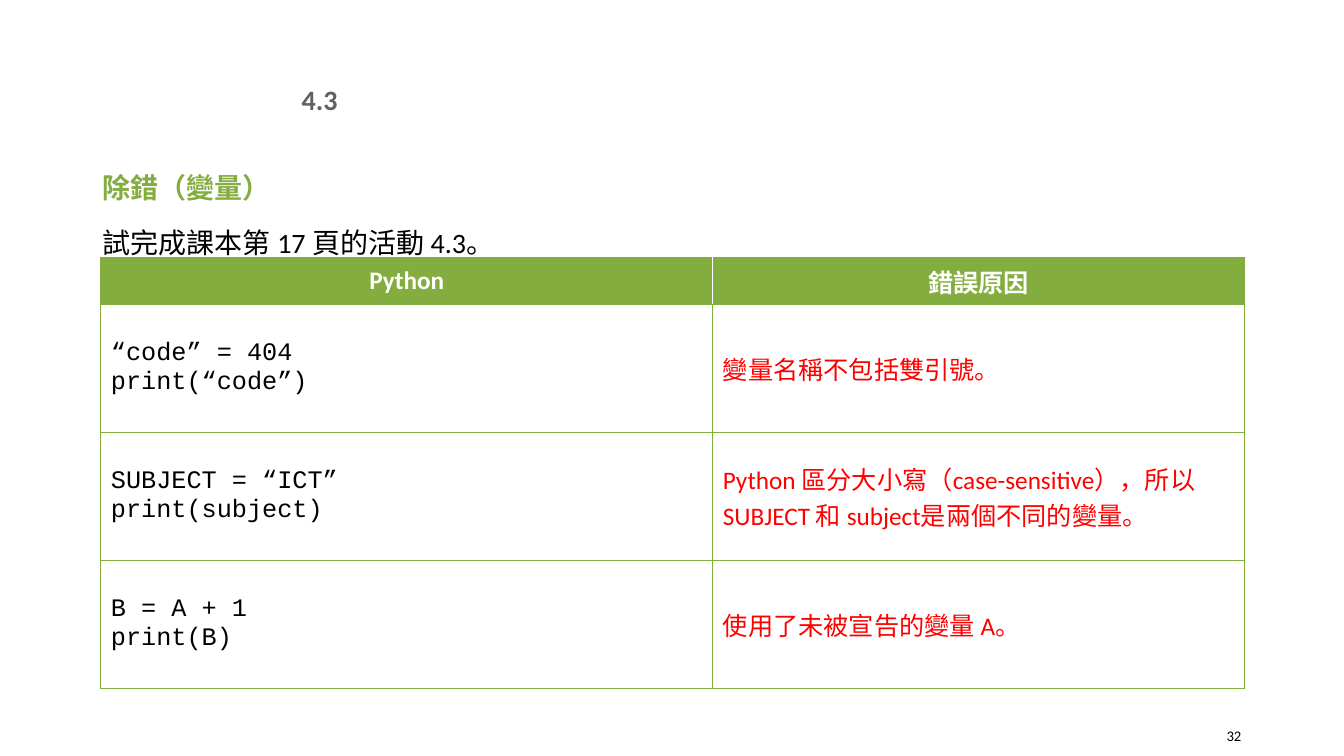
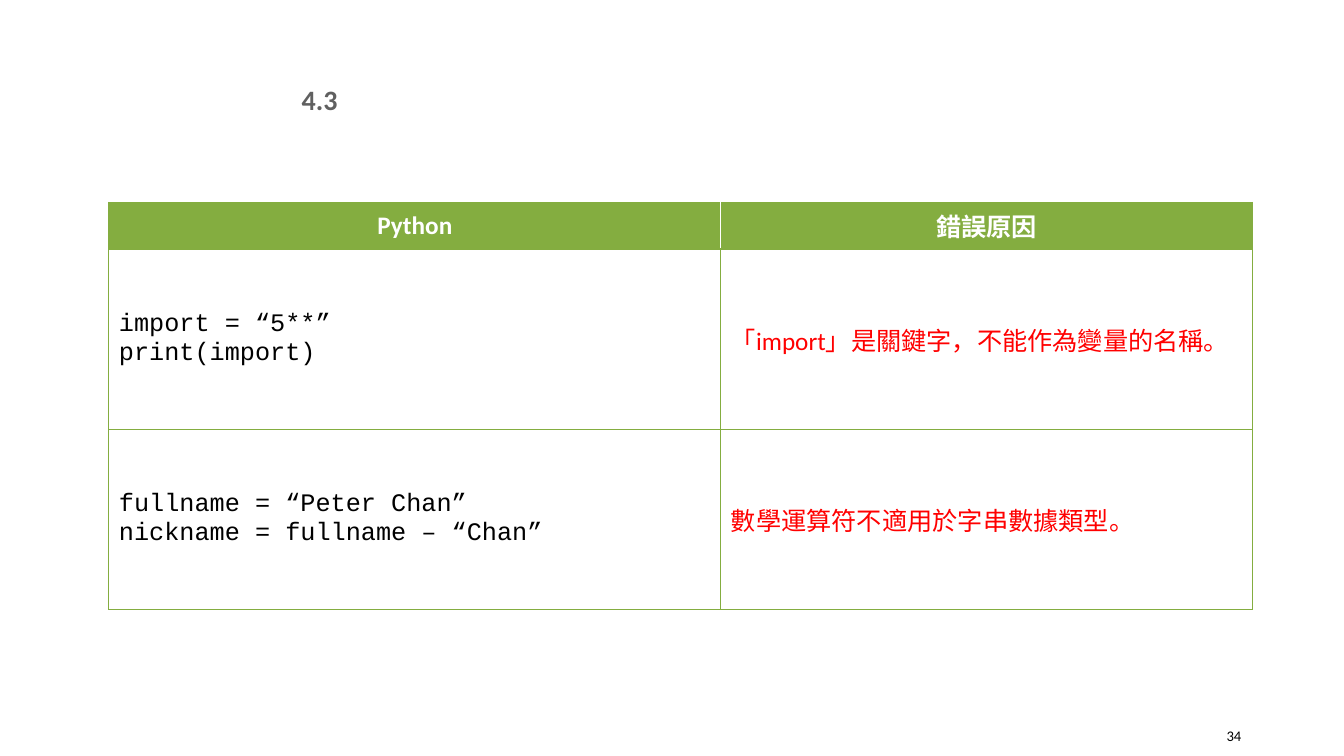
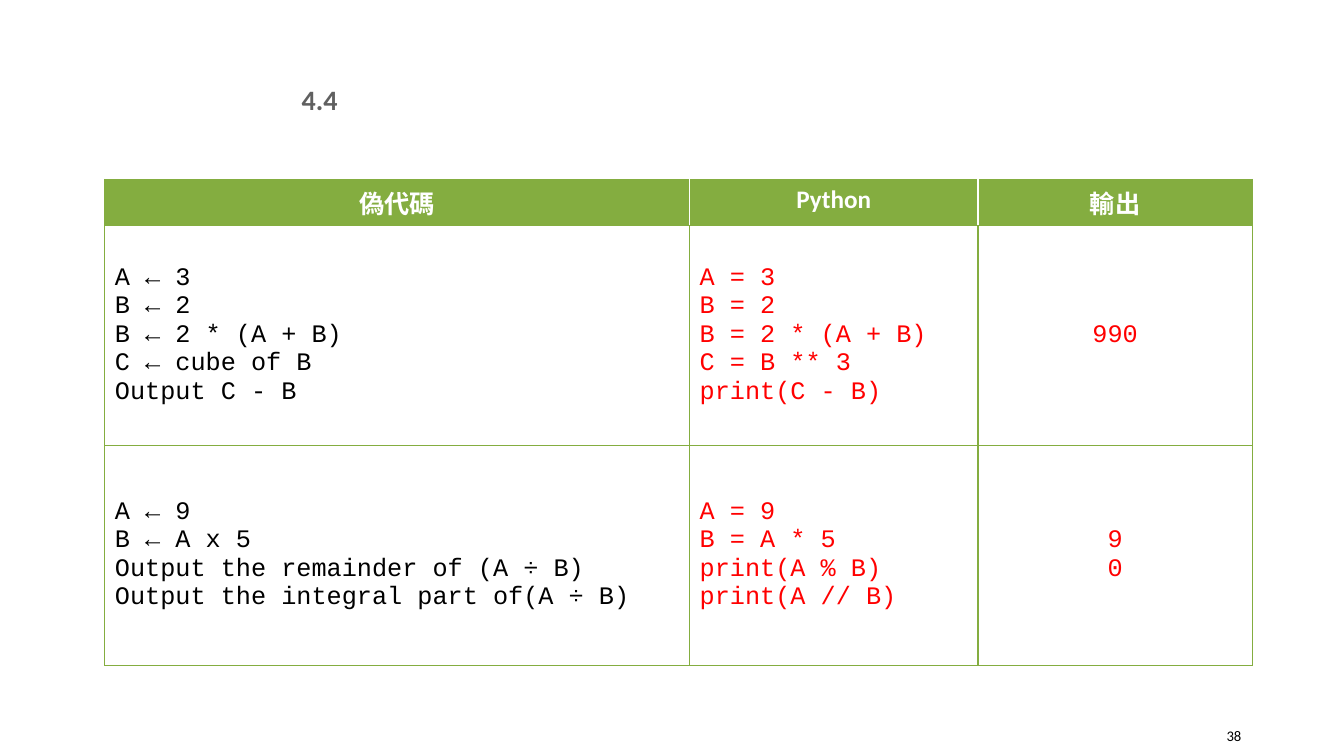
from dataclasses import dataclass

from lxml.etree import SubElement
from pptx import Presentation
from pptx.dml.color import RGBColor
from pptx.enum.text import MSO_ANCHOR as Anchor, PP_ALIGN as Align
from pptx.oxml.ns import qn
from pptx.util import Inches, Pt


@dataclass(frozen=True)
class Theme:
    """Colours, fonts, type sizes and line width."""
    green: str = "84AD40"
    grey: str = "606060"
    black: str = "000000"
    white: str = "FFFFFF"
    red: str = "FF0000"
    sans: str = "Calibri"
    mono: str = "Courier New"
    cjk: str = "Noto Sans CJK TC"
    heading: float = 20
    cell: float = 18
    footer: float = 10.5
    border: float = 1


@dataclass(frozen=True)
class Column:
    """Heading, width and body style of one table column."""
    heading: str
    width: float
    color: str
    font: str
    align: Align = Align.LEFT


THEME = Theme()
HEADER_HEIGHT = 0.46


def write(frame, text, *, size, color, font=THEME.sans, bold=False,
          align=Align.LEFT, anchor=Anchor.MIDDLE, spacing=None, before=0, more=False):
    """Write each line of text as a formatted paragraph."""
    frame.word_wrap = True
    frame.vertical_anchor = anchor
    for index, line in enumerate(text.split("\n")):
        first = index == 0 and not more
        paragraph = frame.paragraphs[0] if first else frame.add_paragraph()
        paragraph.alignment = align
        paragraph.space_before = Pt(0 if first else before)
        if spacing:
            paragraph.line_spacing = spacing
        run = paragraph.add_run()
        run.text = line
        run.font.size = Pt(size)
        run.font.bold = bold
        run.font.name = font
        run.font.color.rgb = RGBColor.from_string(color)
        SubElement(run.font._element, qn("a:ea"), typeface=THEME.cjk)


class Deck:
    """Holds the style and the current slide."""

    def __init__(self, theme):
        """Start an empty widescreen deck."""
        self.theme = theme
        self.deck = Presentation()
        self.deck.slide_width = Inches(13.33)
        self.deck.slide_height = Inches(7.5)
        self.slide = None

    def text_box(self, left, top, width, height):
        """Add a text box and return its frame."""
        return self.slide.shapes.add_textbox(
            Inches(left), Inches(top), Inches(width), Inches(height)).text_frame

    def new_slide(self, activity, page):
        """Add a slide with its activity and page numbers."""
        t = self.theme
        self.slide = self.deck.slides.add_slide(self.deck.slide_layouts[6])
        write(self.text_box(11.57, 7.1, 0.84, 0.4), str(page),
              size=t.footer, color=t.black, align=Align.RIGHT)
        write(self.text_box(2.7, 0.83, 0.94, 0.31), activity,
              size=t.heading, color=t.grey, bold=True, align=Align.CENTER)

    def intro(self, topic, task):
        """Add the topic and the task below it."""
        t = self.theme
        body = self.text_box(0.92, 1.58, 11.5, 5.31)
        shared = dict(size=t.heading, anchor=Anchor.TOP, spacing=1.2, before=10)
        write(body, topic, color=t.green, font=t.cjk, bold=True, **shared)
        write(body, task, color=t.black, more=True, **shared)

    def borders(self, cell, **colors):
        """Draw the four sides of a cell in green unless told otherwise."""
        properties = cell._tc.get_or_add_tcPr()
        for side in "LRTB":
            line = SubElement(properties, qn(f"a:ln{side}"), w=str(Pt(self.theme.border)))
            fill = SubElement(line, qn("a:solidFill"))
            SubElement(fill, qn("a:srgbClr"), val=colors.get(side, self.theme.green))

    def table(self, left, top, columns, rows, row_height, header_anchor=Anchor.MIDDLE):
        """Add a table with a green header and bordered body cells."""
        t = self.theme
        width = sum(column.width for column in columns)
        height = HEADER_HEIGHT + row_height * len(rows)
        grid = self.slide.shapes.add_table(
            len(rows) + 1, len(columns),
            Inches(left), Inches(top), Inches(width), Inches(height)).table
        for index, row in enumerate(grid.rows):
            row.height = Inches(row_height if index else HEADER_HEIGHT)
        last = len(columns) - 1
        for c, column in enumerate(columns):
            grid.columns[c].width = Inches(column.width)
            header = grid.cell(0, c)
            self.borders(header, L=t.white if c else t.green,
                         R=t.white if c < last else t.green)
            header.fill.solid()
            header.fill.fore_color.rgb = RGBColor.from_string(t.green)
            write(header.text_frame, column.heading, size=t.cell, color=t.white,
                  bold=True, align=Align.CENTER)
            header.vertical_anchor = header_anchor
            for r, row in enumerate(rows, 1):
                cell = grid.cell(r, c)
                self.borders(cell)
                cell.fill.background()
                write(cell.text_frame, row[c], size=t.cell, color=column.color,
                      font=column.font, align=column.align)
                cell.vertical_anchor = Anchor.MIDDLE


def main():
    """Build the three activity slides."""
    t = THEME
    deck = Deck(t)
    debugging = [Column("Python", 6.07, t.black, t.mono),
                 Column("錯誤原因", 5.27, t.red, t.sans)]
    translation = [Column("偽代碼", 5.8, t.black, t.mono),
                   Column("Python", 2.86, t.red, t.mono),
                   Column("輸出", 2.72, t.red, t.mono, Align.CENTER)]

    deck.new_slide("4.3", 32)
    deck.intro("除錯（變量）", "試完成課本第 17 頁的活動 4.3。")
    deck.table(1, 2.56, debugging, [
        ("“code” = 404\nprint(“code”)", "變量名稱不包括雙引號。"),
        ("SUBJECT = “ICT”\nprint(subject)",
         "Python 區分大小寫（case-sensitive），所以 SUBJECT 和 subject是兩個不同的變量。"),
        ("B = A + 1\nprint(B)", "使用了未被宣告的變量 A。"),
    ], 1.27)

    deck.new_slide("4.3", 34)
    deck.table(1.08, 2.01, debugging, [
        ("import = “5**”\nprint(import)", "「import」是關鍵字，不能作為變量的名稱。"),
        ("fullname = “Peter Chan”\nnickname = fullname – “Chan”",
         "數學運算符不適用於字串數據類型。"),
    ], 1.79)

    deck.new_slide("4.4", 38)
    deck.table(1.04, 1.78, translation, [
        ("A ← 3\nB ← 2\nB ← 2 * (A + B)\nC ← cube of B\nOutput C - B",
         "A = 3\nB = 2\nB = 2 * (A + B)\nC = B ** 3\nprint(C - B)",
         "990"),
        ("A ← 9\nB ← A x 5\nOutput the remainder of (A ÷ B)\n"
         "Output the integral part of(A ÷ B)",
         "A = 9\nB = A * 5\nprint(A % B)\nprint(A // B)",
         "9\n0"),
    ], 2.18, header_anchor=Anchor.TOP)

    deck.deck.save("out.pptx")


if __name__ == "__main__":
    main()
